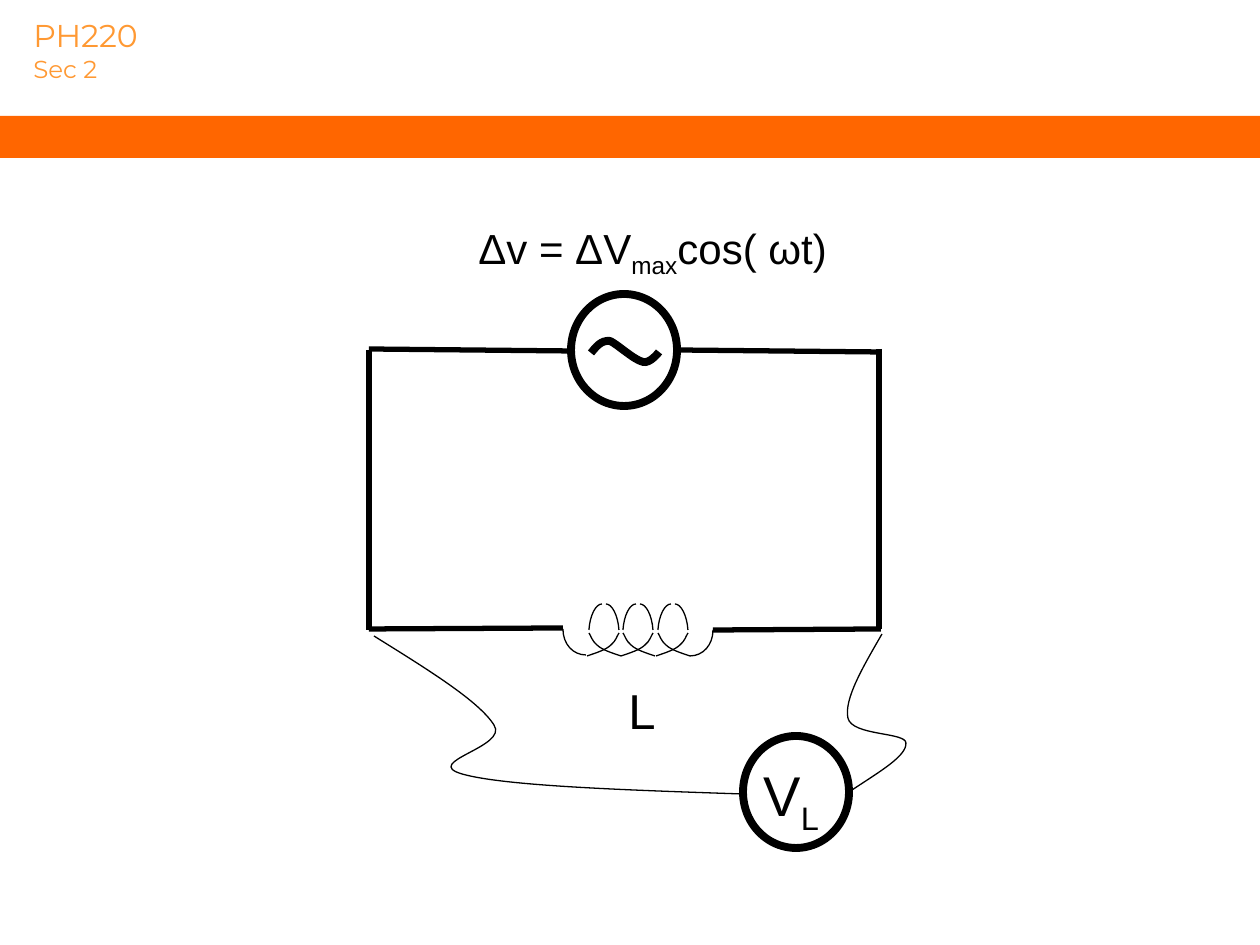
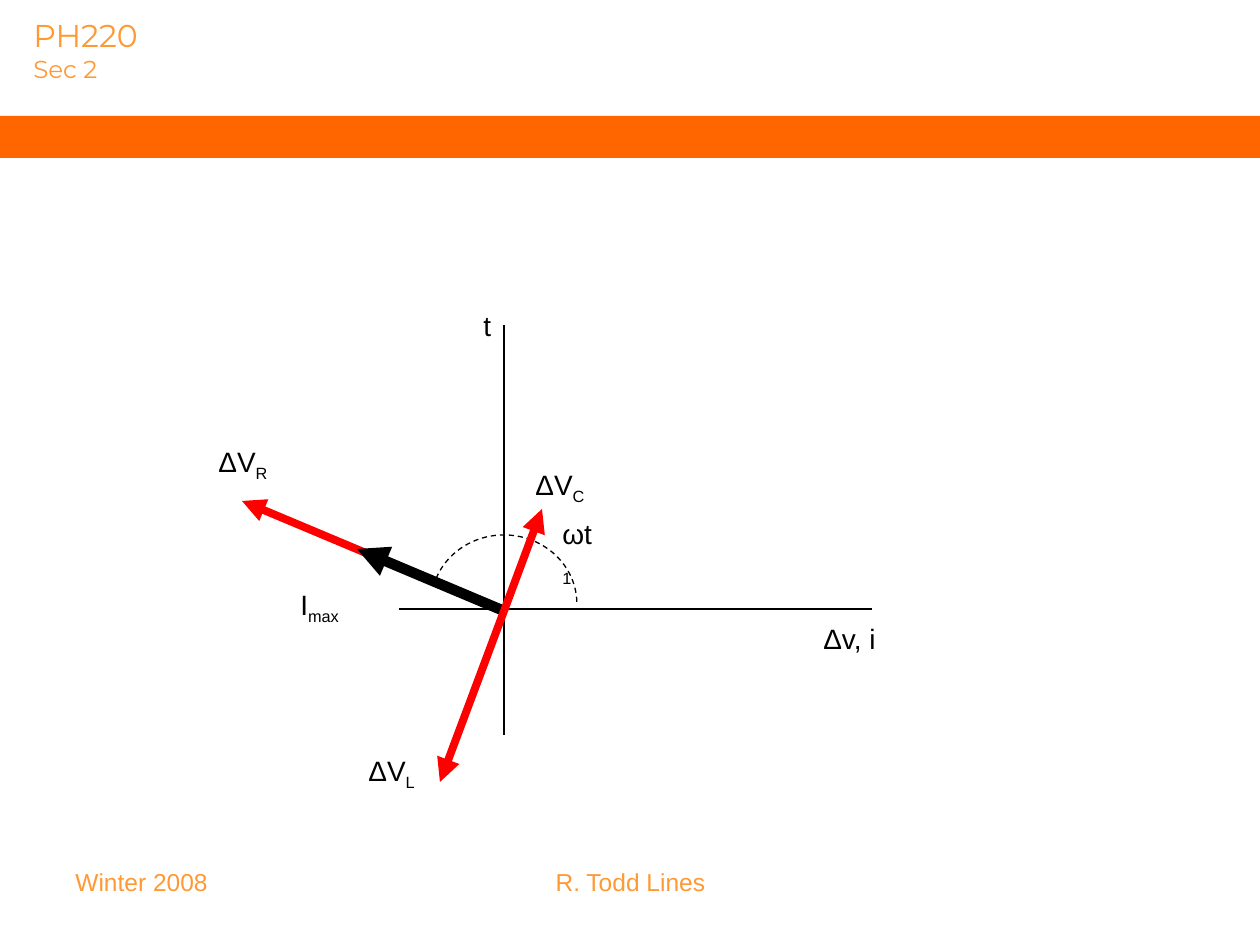
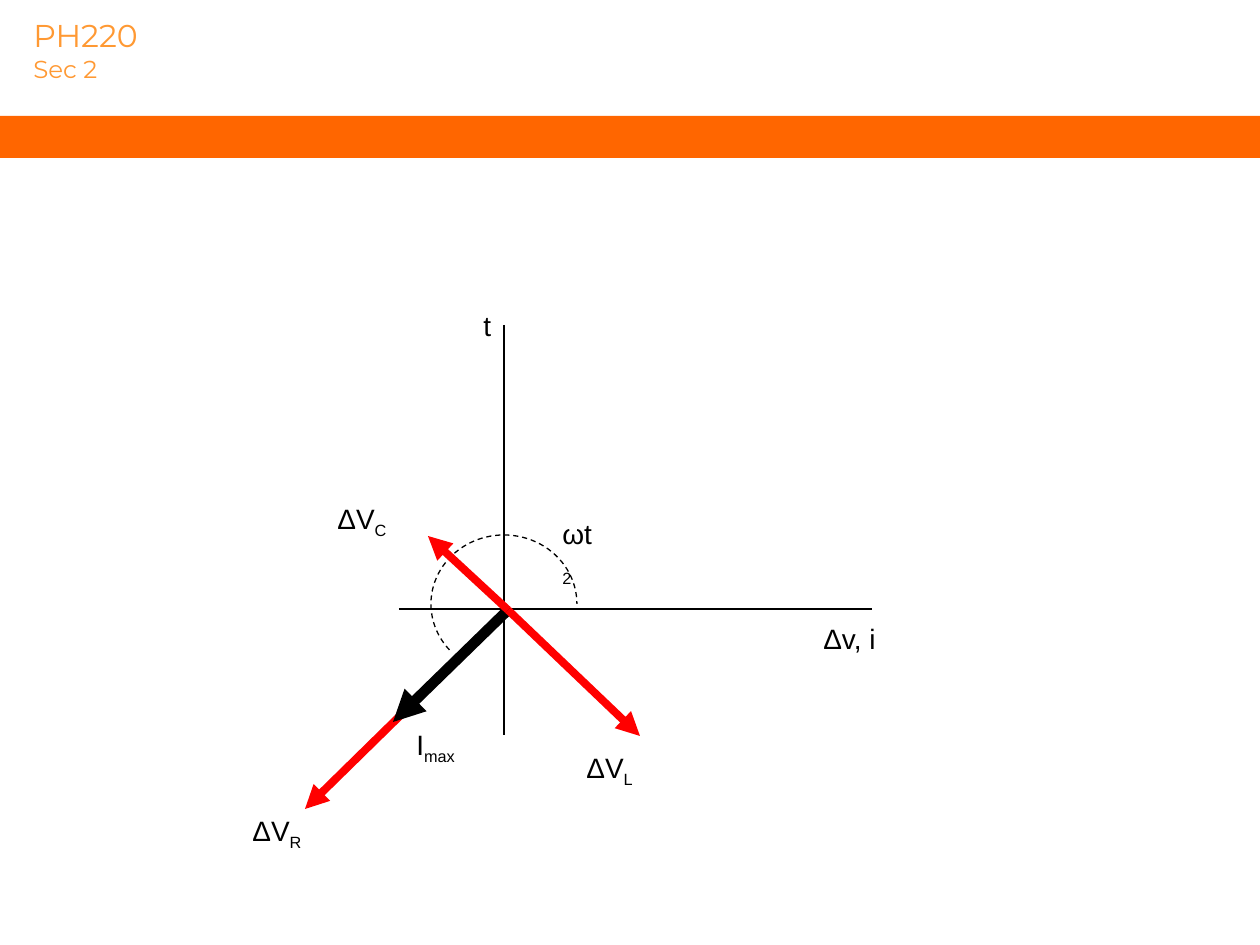
"""Build three slides on an AC inductor circuit and its phasor diagrams."""
from pptx import Presentation, util as u
from pptx.dml.color import RGBColor
from pptx.enum import dml, shapes, text
from pptx.oxml.ns import qn
from lxml import etree

COLORS = {"ink": "000000", "paper": "FFFFFF", "band": "FF6600",
          "header": "FF9933", "voltage": "FF0000"}
SHAPE = shapes.MSO_SHAPE


def px(n):
    """Turn pixels, 126 to the inch, into EMU."""
    return u.Emu(round(n * 914400 / 126))


def rgb(name):
    """Look up a named colour."""
    return RGBColor.from_string(COLORS[name])


def stroke(line, width, color="ink"):
    """Set the colour and width of a line."""
    line.color.rgb = rgb(color)
    line.width = u.Pt(width)


def add_text(s, box, *lines, sizes=(16,), font="Arial", color="ink",
             wrap=False, grow=True, align=None):
    """Add a text box, one line per size; underscores enclose subscripts."""
    sp = s.shapes.add_textbox(*map(px, box))
    tf = sp.text_frame
    tf.word_wrap = wrap
    if grow:
        tf.auto_size = text.MSO_AUTO_SIZE.SHAPE_TO_FIT_TEXT
    for i, (content, size) in enumerate(zip(lines, sizes)):
        p = tf.add_paragraph() if i else tf.paragraphs[0]
        p.alignment = align
        for j, part in enumerate(content.split("_")):
            r = p.add_run()
            r.text = part
            r.font.name, r.font.size = font, u.Pt(size)
            r.font.color.rgb = rgb(color)
            if j % 2:
                r.font._element.set("baseline", "-25000")
    return sp


def add_preset(s, kind, box, fill=None, line=None):
    """Add a preset shape with an optional fill and line width."""
    sp = s.shapes.add_shape(kind, *map(px, box))
    sp.shadow.inherit = False
    if fill:
        sp.fill.solid()
        sp.fill.fore_color.rgb = rgb(fill)
    else:
        sp.fill.background()
    if line:
        stroke(sp.line, line)
    else:
        sp.line.fill.background()
    return sp


def add_line(tree, start, end, width, color="ink", arrow=False):
    """Add a straight line, with an arrowhead at its end if asked."""
    c = tree.add_connector(shapes.MSO_CONNECTOR.STRAIGHT,
                           *map(px, (*start, *end)))
    stroke(c.line, width, color)
    if arrow:
        etree.SubElement(c.line._get_or_add_ln(), qn("a:tailEnd"), type="triangle")
    etree.SubElement(c._element.spPr, qn("a:effectLst"))


def add_curve(s, width, points):
    """Add an open Bézier outline: a start, then triples of points."""
    start, *rest = [(px(x), px(y)) for x, y in points]
    fb = s.shapes.build_freeform(*start)
    fb.add_line_segments(rest, close=False)
    sp = fb.convert_to_shape()
    segments = sp._element.xpath(".//a:lnTo")
    for first, second, third in zip(*[iter(segments)] * 3):
        first.tag = qn("a:cubicBezTo")
        for extra in (second, third):
            first.append(extra[0])
            extra.getparent().remove(extra)
    sp.shadow.inherit = False
    sp.fill.background()
    stroke(sp.line, width)
    return sp


def add_coil(s):
    """Draw the inductor: three mirrored loops between two end hooks."""
    half_loop = (
        [(16, 604), (10, 604), (4, 615), (3, 630)],
        [(35, 656), (26, 653), (16, 650), (11, 645),
         (6, 641), (5, 636), (3, 633)],
    )
    curves = [[(586, 655), (573, 655), (563, 644), (563, 629)],
              [(690, 656), (703, 656), (713, 645), (713, 630)]]
    for left in (586, 620, 655):
        for half in half_loop:
            curves.append([(left + x, y) for x, y in half])
            curves.append([(left + 36 - x, y) for x, y in half])
    s.shapes.add_group_shape([add_curve(s, 0.75, c) for c in curves])


def add_branding(s, layout):
    """Draw the course header and band and move them to the layout."""
    header = add_text(s, (21, 10, 137, 79), "PH220", "Sec 2", sizes=(18, 14),
                      font="Montserrat", color="header")
    band = add_preset(s, SHAPE.RECTANGLE, (0, 116, 1270, 42), fill="band")
    for sp in (header, band):
        layout.shapes.element.append(sp.element)


def add_circuit(s):
    """Draw the AC source, wires, inductor and voltmeter."""
    add_preset(s, SHAPE.OVAL, (571, 294, 106, 112), "paper", 4.5)
    add_curve(s, 4.5, [(591, 353), (596, 347), (601, 340), (610, 341),
                       (617, 344), (634, 360), (643, 362),
                       (650, 364), (659, 352), (659, 352)])
    wires = [((677, 350), (879, 352)), ((369, 349), (571, 351)),
             ((369, 350), (369, 630)), ((879, 349), (879, 629)),
             ((713, 630), (881, 629)), ((369, 629), (563, 628))]
    for start, end in wires:
        add_line(s.shapes, start, end, 3)
    add_text(s, (616, 674, 53, 72), "L", sizes=(28,))
    add_text(s, (466, 216, 374, 63), "Δv = ΔV_max_cos( ωt)", sizes=(24,))
    add_preset(s, SHAPE.OVAL, (743, 736, 106, 112), "paper", 4.5)
    add_text(s, (751, 754, 84, 81), "V_L", sizes=(32,))
    add_curve(s, 0.75, [(374, 636), (427, 669), (479, 701), (494, 725),
                        (509, 747), (421, 762), (462, 774),
                        (504, 786), (624, 790), (743, 794)])
    add_curve(s, 0.75, [(852, 790), (879, 772), (907, 756), (906, 743),
                        (906, 732), (852, 736), (848, 718),
                        (844, 699), (863, 667), (882, 634)])
    add_coil(s)


def add_phasors(s, time, arc_start, origin, phasors):
    """Draw axes, the phase arc, and phasors given as label: (tip, label place)."""
    add_line(s.shapes, (504, 325), (504, 735), 1.5)
    add_line(s.shapes, (399, 609), (872, 609), 1.5)
    add_text(s, (471, 302, 33, 47), "t")
    add_text(s, (811, 615, 78, 47), "Δv, i")
    arc = add_preset(s, SHAPE.ARC, (431, 535, 146, 138), line=0.75)
    arc.adjustments[0], arc.adjustments[1] = arc_start, 0
    arc.line.dash_style = dml.MSO_LINE.DASH
    add_text(s, (550, 510, 63, 47), f"ωt_{time}", wrap=True)
    arrows = s.shapes.add_group_shape().shapes
    for label, (tip, place) in phasors.items():
        add_text(s, (*place, 97, 47), label, wrap=True)
        width, color = (6, "ink") if label == "I_max" else (4.5, "voltage")
        add_line(arrows, origin, tip, width, color, arrow=True)


def add_footer(s):
    """Add the term and the lecturer at the foot of the slide."""
    style = dict(sizes=(14,), color="header", wrap=True, grow=False)
    add_text(s, (63, 861, 294, 66), "Winter 2008", **style)
    add_text(s, (431, 861, 399, 66), "R. Todd Lines",
             align=text.PP_ALIGN.CENTER, **style)


def main():
    """Build and save the deck."""
    prs = Presentation()
    prs.slide_width, prs.slide_height = px(1260), px(945)
    layout = prs.slide_layouts[6]
    circuit, early, late = [prs.slides.add_slide(layout) for _ in range(3)]
    add_branding(circuit, layout)
    add_circuit(circuit)
    add_footer(early)
    add_phasors(early, 1, 120.34, (504, 611), {
        "ΔV_R": ((242, 501), (206, 438)),
        "I_max": ((357, 549), (288, 581)),
        "ΔV_C": ((542, 509), (523, 461)),
        "ΔV_L": ((440, 782), (356, 747)),
    })
    add_phasors(late, 2, 83.94, (508, 610), {
        "ΔV_R": ((305, 809), (240, 807)),
        "I_max": ((393, 722), (404, 721)),
        "ΔV_C": ((428, 536), (325, 495)),
        "ΔV_L": ((640, 736), (574, 744)),
    })
    prs.save("out.pptx")


if __name__ == "__main__":
    main()
